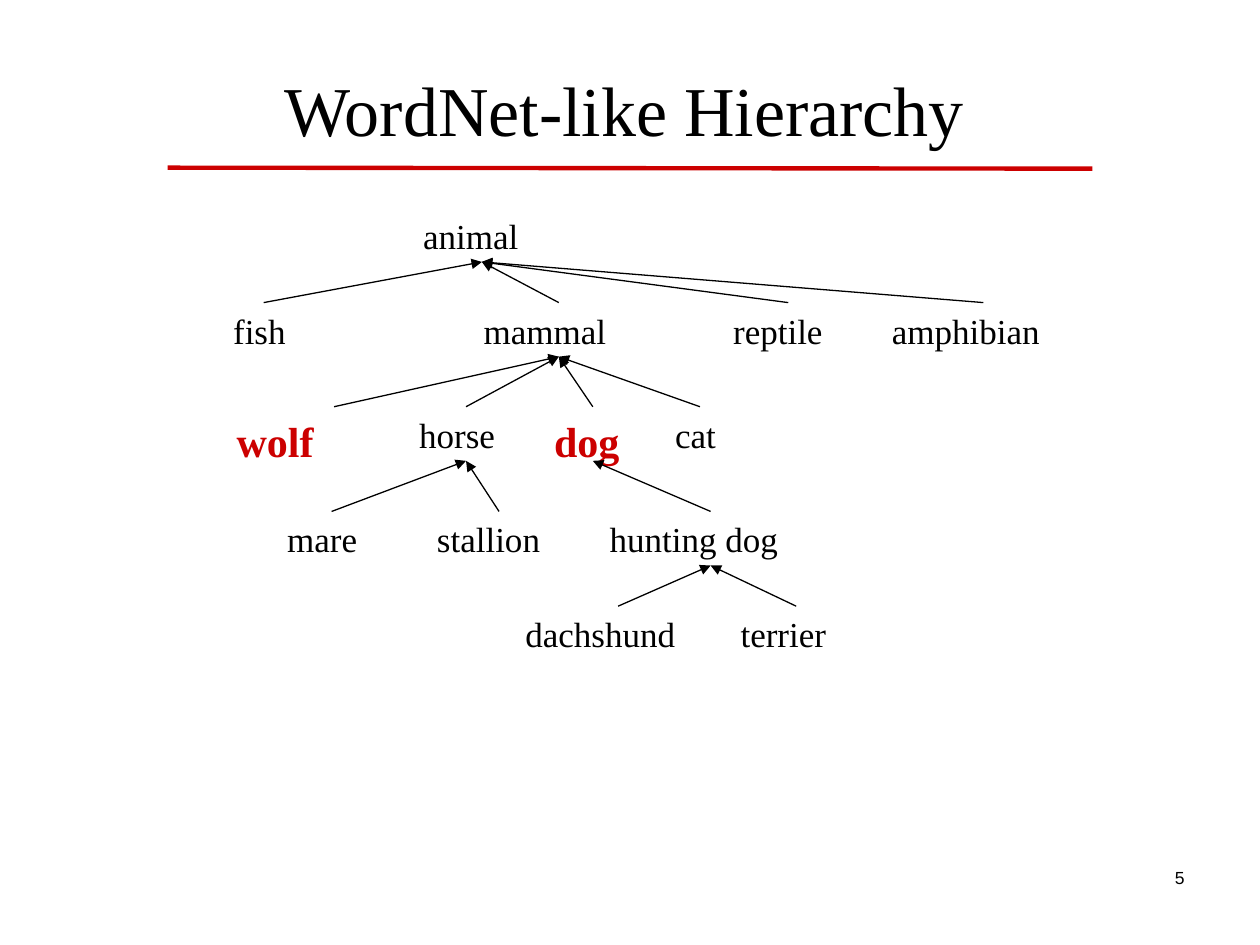
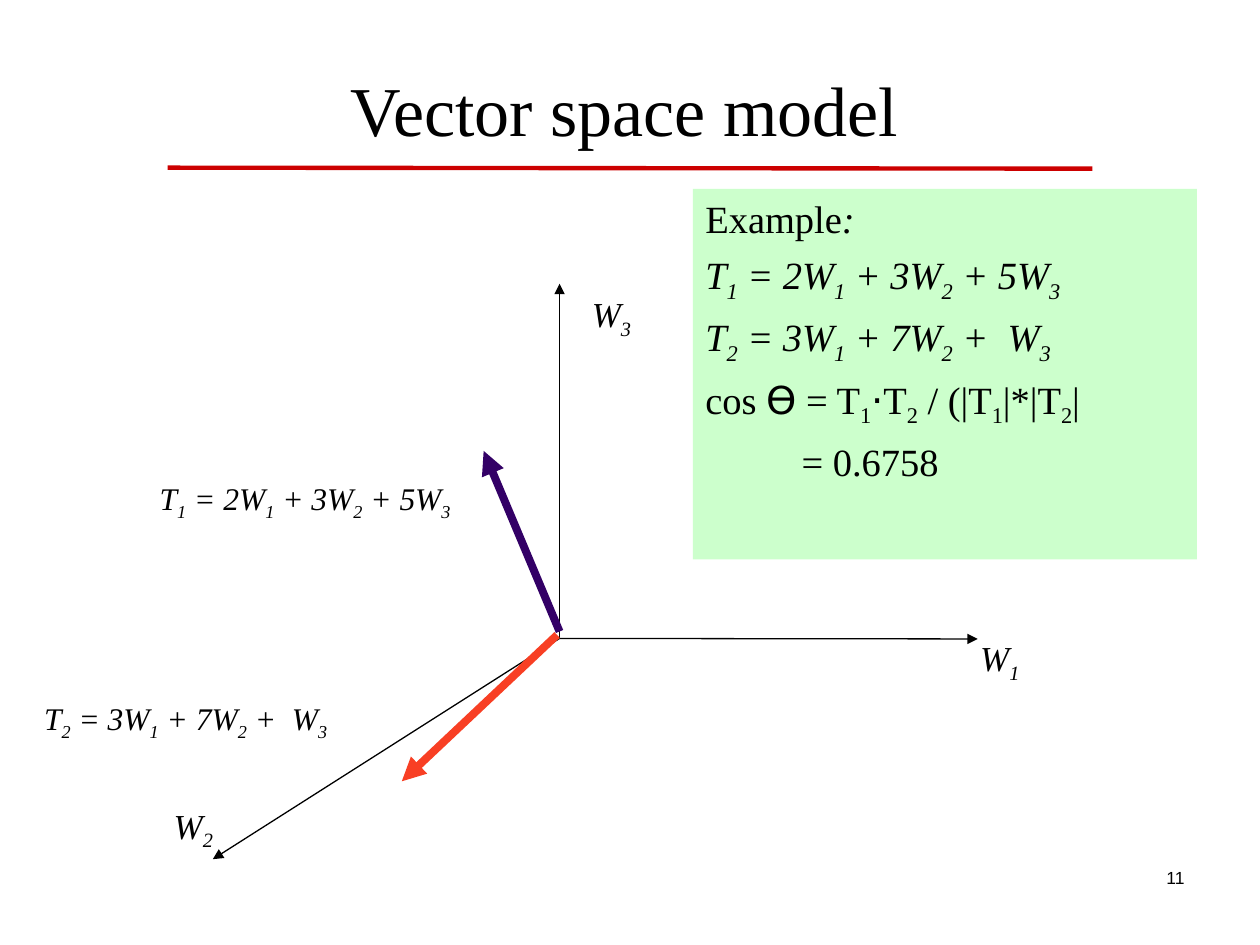
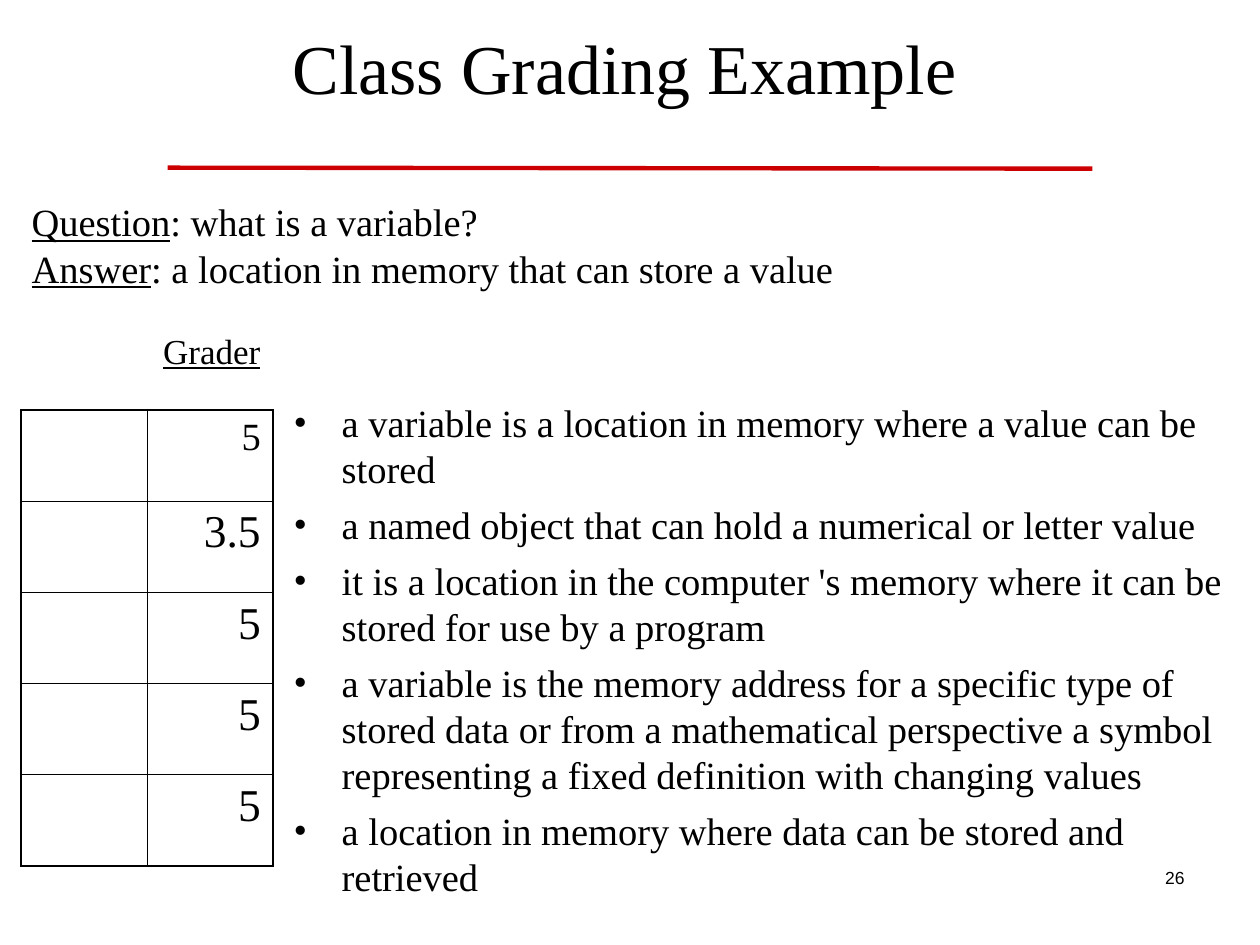
from lxml import etree
from pptx import Presentation
from pptx.dml.color import RGBColor
from pptx.enum.shapes import MSO_CONNECTOR
from pptx.enum.text import MSO_ANCHOR, PP_ALIGN
from pptx.oxml.ns import qn
from pptx.util import Cm, Pt

STRAIGHT = MSO_CONNECTOR.STRAIGHT
MIDDLE, BOTTOM = MSO_ANCHOR.MIDDLE, MSO_ANCHOR.BOTTOM
LEFT, CENTER, RIGHT = PP_ALIGN.LEFT, PP_ALIGN.CENTER, PP_ALIGN.RIGHT
TITLE_ONLY = 5

SERIF, SANS, SYMBOL = "Times New Roman", "Arial", "DejaVu Sans"
BLACK, RED, GREEN = "000000", "CC0000", "CCFFCC"
PURPLE, ORANGE = "330066", "F83F24"
PAD = (0.25, 0.13)
FLUSH = (0, 0)


def color(code):
    return RGBColor.from_string(code)


def formula(text, flags="i"):
    """Split text into parts; the character after each _ is a subscript."""
    head, *rest = text.split("_")
    parts = [(head, flags)]
    for piece in rest:
        parts.append((piece[0], flags + "s"))
        if piece[1:]:
            parts.append((piece[1:], flags))
    return parts


class Deck:
    def __init__(self):
        self.prs = Presentation()
        self.prs.slide_width, self.prs.slide_height = Cm(25.4), Cm(19.05)
        self.slide = None

    def page(self, title, number, top=0.33, height=2.84, anchor=BOTTOM, pad=PAD):
        """Start a slide with its title, red rule and number."""
        layout = self.prs.slide_layouts[TITLE_ONLY]
        self.slide = self.prs.slides.add_slide(layout)
        self.line((3.38, 3.38), (22.02, 3.4), RED, 2.5, arrow=False)
        self.text([str(number)], (18.21, 17.35, 5.92, 1.27), 10,
                  font=SANS, align=RIGHT)
        shape = self.slide.shapes.title
        self.place(shape, (2.11, top, 20.96, height))
        self.typeset(shape.text_frame, [title], 40, align=CENTER,
                     anchor=anchor, pad=pad)

    def place(self, shape, area):
        shape.left, shape.top, shape.width, shape.height = map(Cm, area)

    def style(self, run, size, font, ink, flags=""):
        """Flags: b bold, i italic, u underline, s subscript, d symbol font."""
        face = run.font
        face.size, face.name = Pt(size), SYMBOL if "d" in flags else font
        face.color.rgb = color(ink)
        face.bold, face.italic = "b" in flags, "i" in flags
        face.underline = "u" in flags
        if "s" in flags:
            face._rPr.set("baseline", "-25000")

    def typeset(self, frame, lines, size, font=SERIF, ink=BLACK, flags="",
                align=LEFT, anchor=None, pad=PAD, gap=0):
        """Fill a frame; each line is a string or a list of (text, flags)."""
        frame.word_wrap = True
        frame.margin_left = frame.margin_right = Cm(pad[0])
        frame.margin_top = frame.margin_bottom = Cm(pad[1])
        if anchor is not None:
            frame.vertical_anchor = anchor
        for i, line in enumerate(lines):
            para = frame.add_paragraph() if i else frame.paragraphs[0]
            para.alignment = align
            para.space_before = Pt(gap if i else 0)
            parts = [(line, flags)] if isinstance(line, str) else line
            for words, marks in parts:
                run = para.add_run()
                run.text = words
                self.style(run, size, font, ink, marks)

    def text(self, lines, area, size, fill=None, **looks):
        box = self.slide.shapes.add_textbox(*map(Cm, area))
        if fill:
            box.fill.solid()
            box.fill.fore_color.rgb = color(fill)
        self.typeset(box.text_frame, lines, size, **looks)
        return box.text_frame.paragraphs

    def indent(self, para, left, first=0, bullet=None):
        props = para._p.get_or_add_pPr()
        props.set("marL", str(Cm(left)))
        props.set("indent", str(Cm(first)))
        if bullet:
            etree.SubElement(props, qn("a:buFont"), typeface=SERIF)
            etree.SubElement(props, qn("a:buChar"), char=bullet)

    def line(self, start, end, ink=BLACK, width=0.75, arrow=True):
        link = self.slide.shapes.add_connector(
            STRAIGHT, *map(Cm, start + end))
        link.line.color.rgb = color(ink)
        link.line.width = Pt(width)
        if arrow:
            etree.SubElement(link.line._get_or_add_ln(), qn("a:tailEnd"),
                             type="triangle")
        etree.SubElement(link._element.spPr, qn("a:effectLst"))

    def border(self, cell, widths):
        """Draw the left, right, top and bottom edges of a cell."""
        props = cell._tc.get_or_add_tcPr()
        for side, width in zip("LRTB", widths):
            edge = etree.SubElement(props, qn("a:ln" + side),
                                    w=str(Pt(width)))
            fill = etree.SubElement(edge, qn("a:solidFill"))
            etree.SubElement(fill, qn("a:srgbClr"), val=BLACK)

    def table(self, rows, area, sizes):
        tall, wide = len(rows), len(rows[0])
        grid = self.slide.shapes.add_table(tall, wide, *map(Cm, area)).table
        grid.first_row = grid.horz_banding = False
        thin, thick = 0.45, 1.08
        for r, row in enumerate(rows):
            for c, value in enumerate(row):
                cell = grid.cell(r, c)
                outer = (c == 0, c == wide - 1, r == 0, r == tall - 1)
                self.border(cell, [thick if o else thin for o in outer])
                cell.fill.background()
                if value:
                    cell.text = value
                    para = cell.text_frame.paragraphs[0]
                    para.alignment = RIGHT
                    self.style(para.runs[0], sizes[r], SERIF, BLACK)


def tree(deck):
    deck.page("WordNet-like Hierarchy", 5)
    tops, height = (4.19, 6.1, 8.2, 10.31, 12.22), 1.12
    levels = [
        [("animal", 8.28, 2.87, None)],
        [("fish", 4.45, 1.73, "animal"), ("mammal", 9.5, 3.53, "animal"),
         ("reptile", 14.53, 2.72, "animal"),
         ("amphibian", 17.73, 4.19, "animal")],
        [("wolf", 4.52, 2.39, "mammal"), ("horse", 8.2, 2.39, "mammal"),
         ("dog", 10.92, 2.06, "mammal"), ("cat", 13.36, 1.5, "mammal")],
        [("mare", 5.54, 2.29, "horse"), ("stallion", 8.56, 3, "horse"),
         ("hunting dog", 12.04, 4.57, "dog")],
        [("dachshund", 10.34, 4.24, "hunting dog"),
         ("terrier", 14.68, 2.74, "hunting dog")],
    ]
    shift = {"wolf": 1.02}
    feet = {}
    for top, nodes in zip(tops, levels):
        for name, left, width, parent in nodes:
            if name in ("wolf", "dog"):
                deck.text([name], (left, top + 0.05, width, 1.27), 24,
                          ink=RED, flags="b")
            else:
                deck.text([name], (left, top, width, height), 20)
            mid = left + width / 2
            feet[name] = (mid, top + height - 0.03)
            if parent:
                deck.line((mid + shift.get(name, 0), top), feet[parent])


def vectors(deck):
    deck.page("Vector space model", 11)
    first = formula("T_1 = 2W_1 + 3W_2 + 5W_3")
    second = formula("T_2 = 3W_1 + 7W_2 +  W_3")
    cosine = [("cos ", ""), ("Ɵ", "d"), *formula(" = T_1", ""), ("·", "d"),
              *formula("T_2 / (|T_1|*|T_2|", "")]
    lines = [[("Example", ""), (":", "i")], first, second, cosine, "= 0.6758"]
    paras = deck.text(lines, (13.97, 3.81, 10.16, 7.47), 22, fill=GREEN,
                      gap=5.5)
    deck.indent(paras[-1], 1.94)

    origin = (11.28, 12.87)
    for tip in ((19.71, 12.88), (4.29, 17.32), (11.28, 5.72)):
        deck.line(origin, tip)
    deck.line((11.28, 12.73), (9.75, 9.09), PURPLE, 4.5)
    deck.line((11.23, 12.8), (8.1, 15.75), ORANGE, 4.5)

    for name, left, top in (("W_3", 11.68, 5.77), ("W_1", 19.51, 12.7),
                            ("W_2", 3.25, 16.08)):
        deck.text([formula(name)], (left, top, 1.4, 1.22), 20)
    for label, left, top in ((first, 2.97, 9.53), (second, 0.64, 13.97)):
        deck.text([label], (left, top, 6.6, 1.12), 18)


def grading(deck):
    deck.page("Class Grading Example", 26, top=-0.48, height=3.63,
              anchor=MIDDLE, pad=FLUSH)
    answers = [
        "a variable is a location in memory where a value can be stored",
        "a named object that can hold a numerical or letter value",
        "it is a location in the computer 's memory where it can be stored "
        "for use by a program",
        "a variable is the memory address for a specific type of stored data "
        "or from a mathematical perspective a symbol representing a fixed "
        "definition with changing values",
        "a location in memory where data can be stored and retrieved",
    ]
    paras = deck.text(answers, (5.92, 8.05, 19.05, 10.8), 22, pad=FLUSH,
                      gap=5.5)
    for para in paras:
        deck.indent(para, 0.97, -0.97, "•")

    lines = [[("Question", "u"), (": what is a variable?", "")],
             [("Answer", "u"),
              (": a location in memory that can store a value", "")]]
    deck.text(lines, (0.64, 3.51, 20.96, 2.84), 22, anchor=MIDDLE, pad=FLUSH)
    head = deck.text(["Grader"], (0.64, 5.87, 9.53, 2.39), 20, flags="u",
                     anchor=MIDDLE, pad=FLUSH)
    deck.indent(head[0], 2.65)
    grades = ("5", "3.5", "5", "5", "5")
    deck.table([("", grade) for grade in grades], (0.43, 8.26, 5.08, 9.2),
               (22, 26, 26, 26, 26))


def main():
    deck = Deck()
    for build in (tree, vectors, grading):
        build(deck)
    deck.prs.save("out.pptx")


if __name__ == "__main__":
    main()
